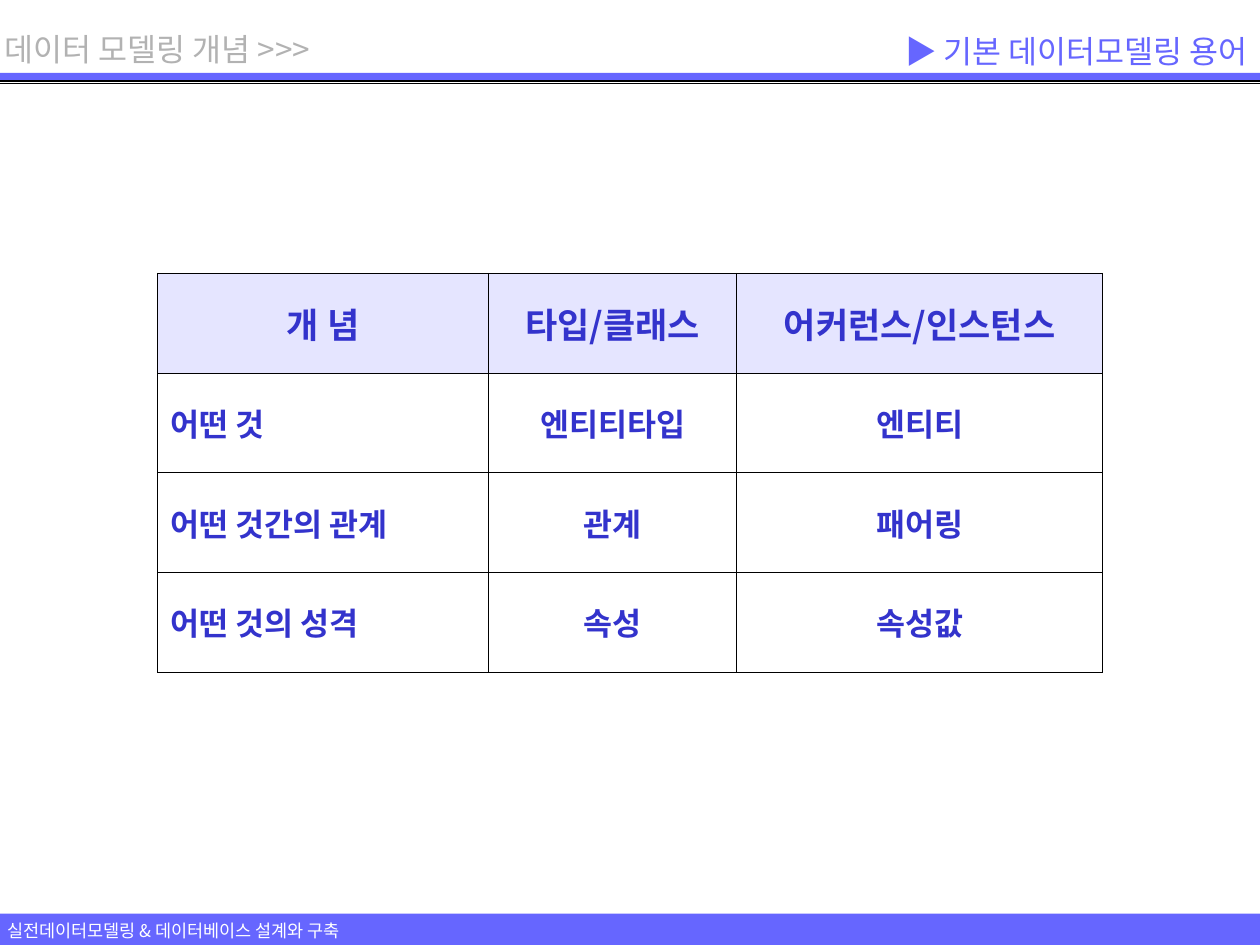
from dataclasses import dataclass

from lxml import etree
from pptx import Presentation
from pptx import util as u
from pptx.dml.color import RGBColor
from pptx.enum import shapes, text
from pptx.oxml import ns

FONT = "Noto Sans CJK KR"
VIOLET = "6666FF"
INK = "3333CC"
HEADER_FILL = "CCCCFF"
WHITE = "FFFFFF"
BLACK = "000000"
GREY = "B2B2B2"
SLIDE_WIDTH = 25.4
SLIDE_HEIGHT = 19.05
COLUMN_WIDTHS = (6.67, 5.0, 7.38)
ROW_HEIGHT = 2.01
BORDER_POINTS = 0.45


@dataclass
class Bar:
    top: float
    height: float


@dataclass
class Label:
    content: str
    left: float
    top: float
    width: float
    height: float
    size: float
    color: str
    align: text.PP_ALIGN = text.PP_ALIGN.LEFT
    anchor: text.MSO_ANCHOR = text.MSO_ANCHOR.TOP


BARS = (Bar(18.42, 0.63), Bar(1.47, 0.16))
RULE_TOPS = (1.63, 1.65, 1.68)
LABELS = (
    Label("실전데이터모델링 & 데이터베이스 설계와 구축", -0.1, 18.42, 7.98, 0.69, 10, WHITE),
    Label("데이터 모델링 개념 >>>", -0.15, 0.48, 7.21, 1.02, 18, GREY),
    Label("▶ 기본 데이터모델링 용어", 12.7, 0.48, 12.7, 1.09, 18, VIOLET,
          text.PP_ALIGN.RIGHT, text.MSO_ANCHOR.MIDDLE),
)
TERMS = (
    ("개 념", "타입/클래스", "어커런스/인스턴스"),
    ("어떤 것", "엔티티타입", "엔티티"),
    ("어떤 것간의 관계", "관계", "패어링"),
    ("어떤 것의 성격", "속성", "속성값"),
)


def rgb(value: str) -> RGBColor:
    return RGBColor.from_string(value)


def add_run(paragraph, content: str, size: float, color: str, bold: bool = False) -> None:
    run = paragraph.add_run()
    run.text = content
    run.font.size = u.Pt(size)
    run.font.bold = bold
    run.font.color.rgb = rgb(color)
    run.font.name = FONT
    etree.SubElement(run.font._element, ns.qn("a:ea"), typeface=FONT)


def draw_bar(slide, bar: Bar) -> None:
    shape = slide.shapes.add_shape(
        shapes.MSO_SHAPE.RECTANGLE, 0, u.Cm(bar.top), u.Cm(SLIDE_WIDTH), u.Cm(bar.height))
    shape.shadow.inherit = False
    shape.fill.solid()
    shape.fill.fore_color.rgb = rgb(VIOLET)
    shape.line.fill.background()


def draw_rule(slide, top: float) -> None:
    connector = slide.shapes.add_connector(
        shapes.MSO_CONNECTOR.STRAIGHT, 0, u.Cm(top), u.Cm(SLIDE_WIDTH), u.Cm(top))
    connector.line.color.rgb = rgb(BLACK)
    connector.line.width = u.Pt(0.75)
    etree.SubElement(connector._element.spPr, ns.qn("a:effectLst"))


def draw_label(slide, label: Label) -> None:
    box = slide.shapes.add_textbox(
        u.Cm(label.left), u.Cm(label.top), u.Cm(label.width), u.Cm(label.height))
    frame = box.text_frame
    frame.word_wrap = True
    frame.vertical_anchor = label.anchor
    paragraph = frame.paragraphs[0]
    paragraph.alignment = label.align
    add_run(paragraph, label.content, label.size, label.color)


def style_cell(cell, fill: str, opacity: int) -> None:
    cell.fill.solid()
    cell.fill.fore_color.rgb = rgb(fill)
    properties = cell._tc.get_or_add_tcPr()
    if opacity < 100:
        color = properties.find(".//" + ns.qn("a:srgbClr"))
        etree.SubElement(color, ns.qn("a:alpha"), val=str(opacity * 1000))
    for position, side in enumerate(("lnL", "lnR", "lnT", "lnB")):
        border = etree.Element(ns.qn("a:" + side), w=str(u.Pt(BORDER_POINTS)))
        solid = etree.SubElement(border, ns.qn("a:solidFill"))
        etree.SubElement(solid, ns.qn("a:srgbClr"), val=BLACK)
        properties.insert(position, border)


def draw_terms(slide) -> None:
    table = slide.shapes.add_table(
        len(TERMS), len(COLUMN_WIDTHS), u.Cm(3.18), u.Cm(5.51),
        u.Cm(sum(COLUMN_WIDTHS)), u.Cm(ROW_HEIGHT * len(TERMS))).table
    table.first_row = table.horz_banding = False
    for column, width in zip(table.columns, COLUMN_WIDTHS):
        column.width = u.Cm(width)
    for row_index, row in enumerate(TERMS):
        header = row_index == 0
        table.rows[row_index].height = u.Cm(ROW_HEIGHT)
        for column_index, term in enumerate(row):
            cell = table.cell(row_index, column_index)
            cell.vertical_anchor = text.MSO_ANCHOR.MIDDLE
            paragraph = cell.text_frame.paragraphs[0]
            centred = header or column_index > 0
            paragraph.alignment = text.PP_ALIGN.CENTER if centred else text.PP_ALIGN.LEFT
            add_run(paragraph, term, 20 if header else 18, INK, bold=True)
            style_cell(cell, HEADER_FILL if header else WHITE, 50 if header else 100)


def main() -> None:
    presentation = Presentation()
    presentation.slide_width = u.Cm(SLIDE_WIDTH)
    presentation.slide_height = u.Cm(SLIDE_HEIGHT)
    slide = presentation.slides.add_slide(presentation.slide_layouts[6])
    for bar in BARS:
        draw_bar(slide, bar)
    for top in RULE_TOPS:
        draw_rule(slide, top)
    draw_terms(slide)
    for label in LABELS:
        draw_label(slide, label)
    presentation.save("out.pptx")


if __name__ == "__main__":
    main()
